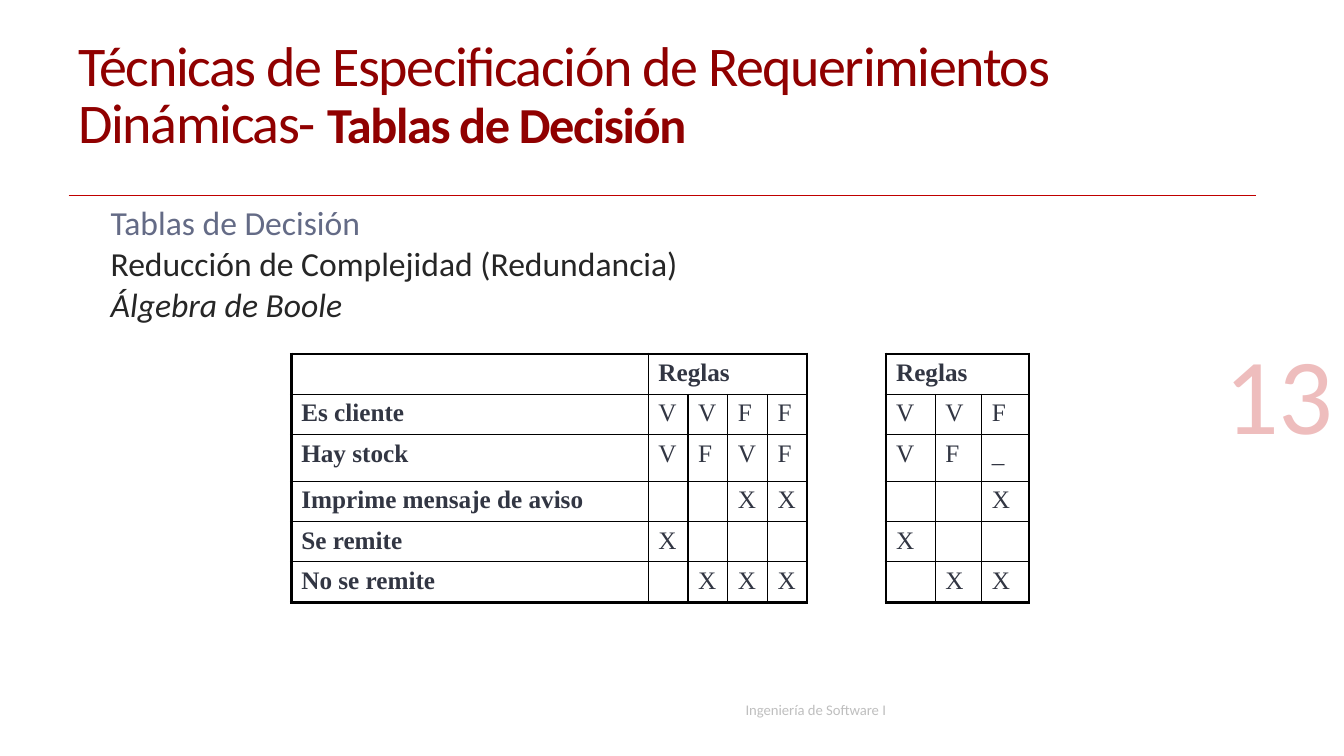
from lxml.etree import SubElement
from pptx import Presentation
from pptx.dml.color import RGBColor
from pptx.enum.shapes import MSO_CONNECTOR
from pptx.enum.text import MSO_ANCHOR, PP_ALIGN
from pptx.oxml.ns import qn
from pptx.util import Cm, Pt

SANS, SERIF = "Calibri", "Times New Roman"
TITLE_COLOR, RED, BLACK = "900000", "C00000", "000000"
TABLE_COLOR, FOOTER_COLOR = "323643", "BFBFBF"

TITLE = [
    ("Técnicas de Especificación de Requerimientos Dinámicas- ", 40, False),
    ("Tablas de Decisión", 36, True),
]
# text, colour, italic, space before (pt)
BODY = [
    ("Tablas de Decisión", "646B86", False, 9.8),
    ("Reducción de Complejidad (Redundancia)", "262626", False, 4.5),
    ("Álgebra de Boole", "262626", True, 4.5),
]
FOOTER = "Ingeniería de Software I"
PAGE_NUMBER = "13"

LABELS = ["", "Es cliente", "Hay stock", "Imprime mensaje de aviso",
          "Se remite", "No se remite"]
FULL_RULES = [
    ["Reglas", "", "", ""],
    ["V", "V", "F", "F"],
    ["V", "F", "V", "F"],
    ["", "", "X", "X"],
    ["X", "", "", ""],
    ["", "X", "X", "X"],
]
REDUCED_RULES = [
    ["Reglas", "", ""],
    ["V", "V", "F"],
    ["V", "F", "_"],
    ["", "", "X"],
    ["X", "", ""],
    ["", "X", "X"],
]
TABLES_TOP = 8.92
ROW_HEIGHTS = [0.98, 0.97, 1.17, 1, 0.97, 1.03]
OUTER, INNER = 2.25, 1


def rgb(color):
    return RGBColor.from_string(color)


def add_run(paragraph, text, size, color, font=SANS, bold=False, italic=False):
    run = paragraph.add_run()
    run.text = text
    run.font.name, run.font.size = font, Pt(size)
    run.font.bold, run.font.italic = bold, italic
    run.font.color.rgb = rgb(color)
    return run


def add_frame(slide, left, top, width, height, anchor=MSO_ANCHOR.TOP):
    box = slide.shapes.add_textbox(Cm(left), Cm(top), Cm(width), Cm(height))
    frame = box.text_frame
    frame.word_wrap = True
    frame.vertical_anchor = anchor
    return frame


def add_title(slide):
    frame = add_frame(slide, 1.73, 1.4, 30.02, 3.53, MSO_ANCHOR.MIDDLE)
    frame.margin_bottom = Cm(1.5)
    paragraph = frame.paragraphs[0]
    paragraph.line_spacing = 0.85
    for text, size, bold in TITLE:
        run = add_run(paragraph, text, size, TITLE_COLOR, bold=bold)
        run.font._element.set("spc", "-100")


def add_body(slide):
    frame = add_frame(slide, 2.54, 5.13, 18.8, 2.21)
    for index, (text, color, italic, space) in enumerate(BODY):
        paragraph = frame.add_paragraph() if index else frame.paragraphs[0]
        paragraph.line_spacing = 0.85
        paragraph.space_before = Pt(space)
        add_run(paragraph, text, 24, color, italic=italic)


def add_page_number(slide):
    frame = add_frame(slide, 25.73, 7.72, 8.13, 3.89, MSO_ANCHOR.BOTTOM)
    paragraph = frame.paragraphs[0]
    paragraph.alignment = PP_ALIGN.RIGHT
    run = add_run(paragraph, PAGE_NUMBER, 77.2, RED)
    tint = run.font._element.find(".//" + qn("a:srgbClr"))
    SubElement(tint, qn("a:alpha"), val="25000")


def add_rule_line(slide):
    line = slide.shapes.add_connector(
        MSO_CONNECTOR.STRAIGHT, Cm(1.73), Cm(4.93), Cm(31.65), Cm(4.93))
    line.line.color.rgb = rgb(RED)
    line.line.width = Pt(0.75)
    SubElement(line._element.spPr, qn("a:effectLst"))


def set_borders(cell, widths):
    """Draw the given sides, a dict in the order L, R, T, B."""
    properties = cell._tc.get_or_add_tcPr()
    for side, width in widths.items():
        border = SubElement(properties, qn("a:ln" + side), w=str(Pt(width)))
        fill = SubElement(border, qn("a:solidFill"))
        SubElement(fill, qn("a:srgbClr"), val=BLACK)


def fill_cell(cell, text, bold):
    paragraph = cell.text_frame.paragraphs[0]
    paragraph.space_before = Pt(5.8)
    if text:
        add_run(paragraph, text, 18, TABLE_COLOR, SERIF, bold)
    else:
        end = SubElement(paragraph._p, qn("a:endParaRPr"), sz="1800")
        SubElement(end, qn("a:latin"), typeface=SERIF)


def add_decision_table(slide, left, column_widths, rows, first_rule):
    """Columns from first_rule on hold the rules and share one heading."""
    table = slide.shapes.add_table(
        len(rows), len(column_widths), Cm(left), Cm(TABLES_TOP),
        Cm(sum(column_widths)), Cm(sum(ROW_HEIGHTS))).table
    table.first_row = table.horz_banding = False
    for column, width in zip(table.columns, column_widths):
        column.width = Cm(width)
    for row, height in zip(table.rows, ROW_HEIGHTS):
        row.height = Cm(height)
    last_row, last_col = len(rows) - 1, len(column_widths) - 1
    table.cell(0, first_rule).merge(table.cell(0, last_col))

    for r, texts in enumerate(rows):
        for c, text in enumerate(texts):
            cell = table.cell(r, c)
            fill_cell(cell, text, bold=r == 0 or c < first_rule)
            ends_right = c == last_col or cell.is_merge_origin
            widths = {
                "L": INNER if c else OUTER,
                "R": OUTER if ends_right else INNER,
                "T": INNER if r else OUTER,
                "B": OUTER if r == last_row else INNER,
            }
            if cell.is_spanned:
                del widths["L"]
                if not ends_right:
                    del widths["R"]
            set_borders(cell, widths)
            cell.fill.background()


def main():
    deck = Presentation()
    deck.slide_width, deck.slide_height = Cm(33.87), Cm(19.05)
    slide = deck.slides.add_slide(deck.slide_layouts[6])

    add_rule_line(slide)
    add_body(slide)
    footer = add_frame(slide, 18.54, 17.53, 13.08, 1.02)
    add_run(footer.paragraphs[0], FOOTER, 10.5, FOOTER_COLOR)
    add_page_number(slide)
    full_rows = [[label, *rules] for label, rules in zip(LABELS, FULL_RULES)]
    add_decision_table(slide, 7.34, [9, 1, 1, 1, 1], full_rows, 1)
    add_decision_table(slide, 22.33, [1.24, 1.17, 1.19], REDUCED_RULES, 0)
    add_title(slide)

    deck.save("out.pptx")


if __name__ == "__main__":
    main()
